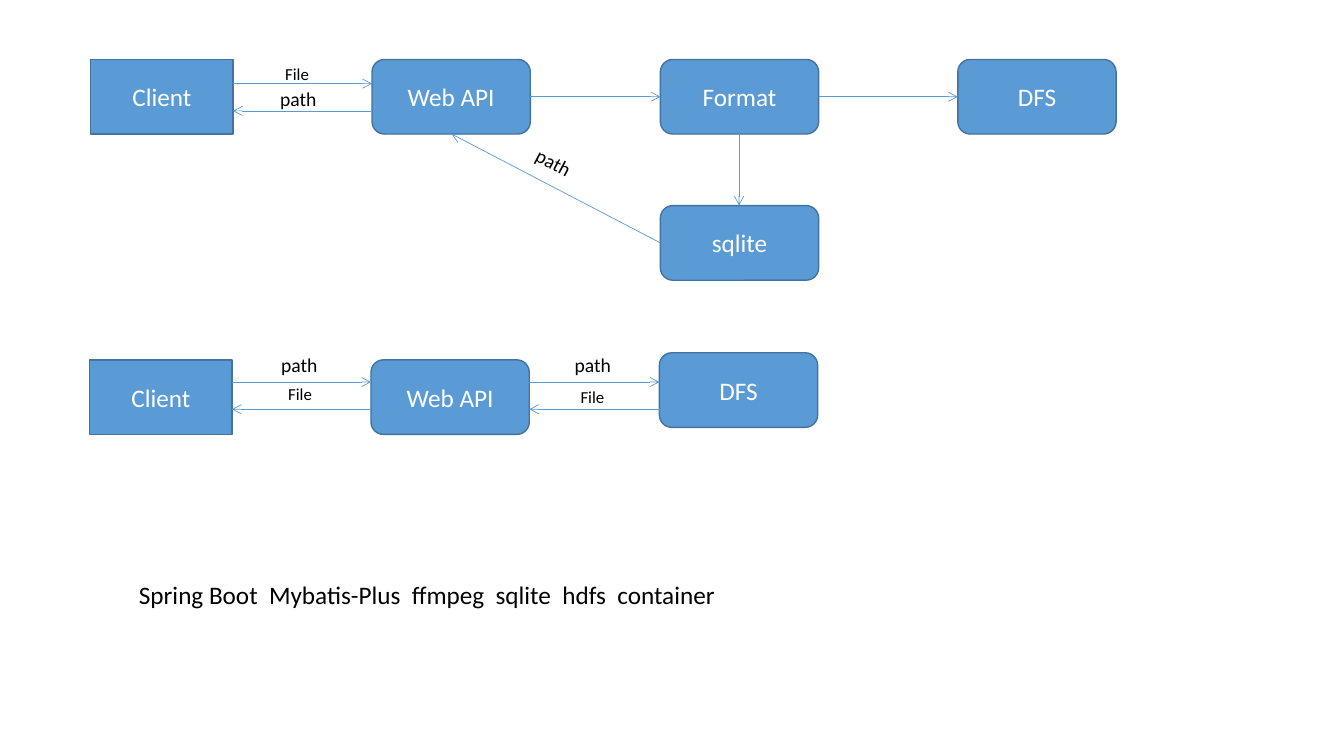
from pptx import Presentation
from pptx.dml.color import RGBColor
from pptx.enum.shapes import MSO_CONNECTOR, MSO_SHAPE
from pptx.enum.text import MSO_ANCHOR, PP_ALIGN
from pptx.oxml.ns import qn
from pptx.util import Inches, Pt
from lxml.etree import SubElement

BLUE = RGBColor(0x5B, 0x9B, 0xD5)
DARK_BLUE = RGBColor(0x43, 0x73, 0x9E)
WHITE = RGBColor(0xFF, 0xFF, 0xFF)
BLACK = RGBColor(0x00, 0x00, 0x00)


def write(sp, text, size, color):
    p = sp.text_frame.paragraphs[0]
    p.text = text
    p.font.name = "Calibri"
    p.font.size = Pt(size)
    p.font.color.rgb = color
    return p


prs = Presentation()
prs.slide_width = Inches(13.33)
prs.slide_height = Inches(7.5)
s = prs.slides.add_slide(prs.slide_layouts[6])

RECT, ROUND = MSO_SHAPE.RECTANGLE, MSO_SHAPE.ROUNDED_RECTANGLE
widths = {RECT: 1.41, ROUND: 1.57}
boxes = [
    ("Client", RECT, 0.9, 0.59),
    ("Web API", ROUND, 3.69, 0.59),
    ("Format", ROUND, 6.55, 0.59),
    ("DFS", ROUND, 9.5, 0.59),
    ("sqlite", ROUND, 6.55, 2.04),
    ("Client", RECT, 0.89, 3.57),
    ("Web API", ROUND, 3.68, 3.57),
    ("DFS", ROUND, 6.54, 3.5),
]
for text, kind, x, y in boxes:
    sp = s.shapes.add_shape(kind, Inches(x), Inches(y), Inches(widths[kind]), Inches(0.74))
    sp.shadow.inherit = False
    sp.fill.solid()
    sp.fill.fore_color.rgb = BLUE
    sp.line.color.rgb = DARK_BLUE
    sp.line.width = Pt(1)
    sp.text_frame.vertical_anchor = MSO_ANCHOR.MIDDLE
    write(sp, text, 18, WHITE).alignment = PP_ALIGN.CENTER

arrows = [
    (2.31, 0.83, 3.69, 0.83),
    (3.68, 1.1, 2.31, 1.1),
    (5.26, 0.96, 6.55, 0.96),
    (8.12, 0.96, 9.5, 0.96),
    (7.33, 1.33, 7.33, 2.04),
    (6.55, 2.41, 4.48, 1.33),
    (2.3, 3.79, 3.68, 3.79),
    (3.68, 4.06, 2.3, 4.06),
    (5.16, 3.79, 6.54, 3.79),
    (6.62, 4.06, 5.25, 4.06),
]
for arrow in arrows:
    cn = s.shapes.add_connector(MSO_CONNECTOR.STRAIGHT, *[Inches(v) for v in arrow])
    cn.line.color.rgb = BLUE
    cn.line.width = Pt(0.5)
    SubElement(cn.line._get_or_add_ln(), qn("a:tailEnd"), type="arrow")
    SubElement(cn._element.spPr, qn("a:effectLst"))

label_sizes = {"File": (0.46, 0.3, 12), "path": (0.59, 0.34, 14)}
labels = [
    ("File", 2.73, 0.58, 0),
    ("path", 2.68, 0.81, 0),
    ("path", 5.21, 1.45, 28),
    ("path", 2.69, 3.45, 0),
    ("path", 5.6, 3.45, 0),
    ("File", 2.76, 3.76, 0),
    ("File", 5.66, 3.79, 0),
]
for text, x, y, angle in labels:
    w, h, size = label_sizes[text]
    tb = s.shapes.add_textbox(Inches(x), Inches(y), Inches(w), Inches(h))
    tb.rotation = angle
    tb.text_frame.word_wrap = False
    write(tb, text, size, BLACK)

stack = s.shapes.add_textbox(Inches(1.28), Inches(5.7), Inches(9.67), Inches(0.4))
stack.text_frame.word_wrap = True
write(stack, "Spring Boot  Mybatis-Plus  ffmpeg  sqlite  hdfs  container", 18, BLACK)

prs.save("out.pptx")
